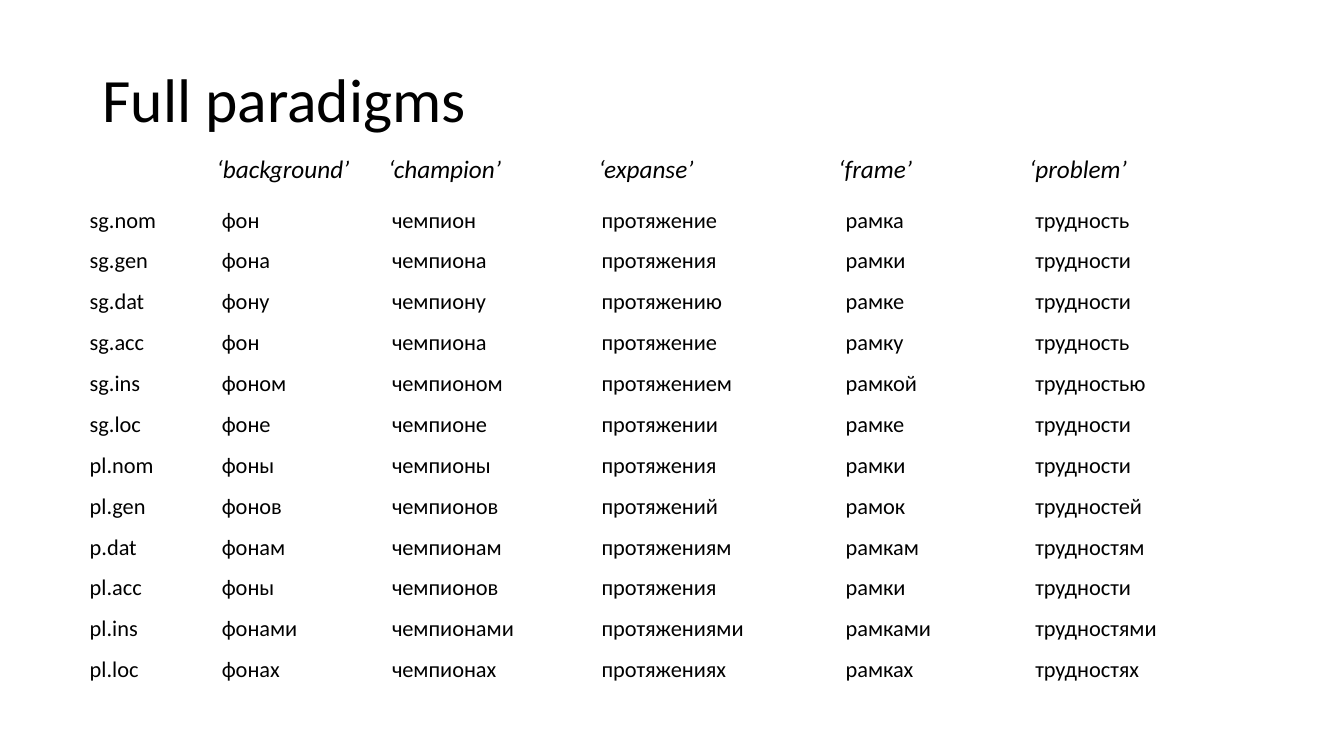
import pptx
import pptx.dml.color
import pptx.enum.text
import pptx.oxml
import pptx.oxml.ns
import pptx.util

Cm = pptx.util.Cm
BLACK = pptx.dml.color.RGBColor(0x00, 0x00, 0x00)

GLOSSES = ["‘background’", "‘champion’", "‘expanse’", "‘frame’", "‘problem’"]
STOPS = [2.77, 7.1, 12.4, 18.44, 23.25]
WIDTHS = [3.33, 4.29, 5.28, 6.15, 4.78, 4.78]
FORMS = """
sg.nom фон чемпион протяжение рамка трудность
sg.gen фона чемпиона протяжения рамки трудности
sg.dat фону чемпиону протяжению рамке трудности
sg.acc фон чемпионa протяжение рамку трудность
sg.ins фоном чемпионом протяжением рамкой трудностью
sg.loc фоне чемпионе протяжении рамке трудности
pl.nom фоны чемпионы протяжения рамки трудности
pl.gen фонов чемпионов протяжений рамок трудностей
p.dat фонам чемпионам протяжениям рамкам трудностям
pl.acc фоны чемпионов протяжения рамки трудности
pl.ins фонами чемпионами протяжениями рамками трудностями
pl.loc фонах чемпионах протяжениях рамках трудностях
"""


class Page:
    def __init__(self, deck, font, color):
        self.slide = deck.slides.add_slide(deck.slide_layouts[5])
        self.font = font
        self.color = color

    def label(self, frame, text, size, italic=False):
        """Fill the frame with one styled, left-aligned paragraph."""
        frame.text = text
        para = frame.paragraphs[0]
        para.alignment = pptx.enum.text.PP_ALIGN.LEFT
        for run in para.runs:
            run.font.name = self.font
            run.font.size = pptx.util.Pt(size)
            run.font.italic = italic
            run.font.color.rgb = self.color
        return para

    def title(self, text, left, top, width, height):
        shape = self.slide.shapes.title
        shape.left, shape.top = Cm(left), Cm(top)
        shape.width, shape.height = Cm(width), Cm(height)
        frame = shape.text_frame
        frame.vertical_anchor = pptx.enum.text.MSO_ANCHOR.MIDDLE
        self.label(frame, text, 44).line_spacing = 0.9

    def header(self, words, stops, left, top, width, height):
        """Place each word at its own tab stop on one line."""
        box = self.slide.shapes.add_textbox(Cm(left), Cm(top), Cm(width), Cm(height))
        frame = box.text_frame
        frame.word_wrap = True
        para = self.label(frame, "".join("\t" + word for word in words), 18, True)
        tabs = pptx.oxml.parse_xml(f"<a:tabLst {pptx.oxml.ns.nsdecls('a')}/>")
        for stop in stops:
            tab = tabs.makeelement(pptx.oxml.ns.qn("a:tab"), {"pos": str(Cm(stop)), "algn": "l"})
            tabs.append(tab)
        para._p.get_or_add_pPr().append(tabs)

    def table(self, rows, widths, left, top, step):
        table = self.slide.shapes.add_table(
            len(rows), len(widths), Cm(left), Cm(top), Cm(sum(widths)), Cm(step * len(rows))
        ).table
        table.first_row = table.horz_banding = False
        for col, width in zip(table.columns, widths):
            col.width = Cm(width)
        for row, words in zip(table.rows, rows):
            row.height = Cm(step)
            for cell, word in zip(row.cells, words):
                cell.fill.background()
                cell.margin_left = cell.margin_right = Cm(0.18)
                cell.margin_top = cell.margin_bottom = 0
                self.label(cell.text_frame, word, 16)


def main():
    deck = pptx.Presentation()
    deck.slide_width, deck.slide_height = Cm(33.87), Cm(19.05)
    page = Page(deck, "Calibri", BLACK)
    page.table([line.split() for line in FORMS.strip().splitlines()], WIDTHS, 2.08, 5.21, 1.03)
    page.header(GLOSSES, STOPS, 2.44, 3.73, 29.36, 1.03)
    page.title("Full paradigms", 2.33, 1.01, 29.21, 3.13)
    deck.save("out.pptx")


if __name__ == "__main__":
    main()
